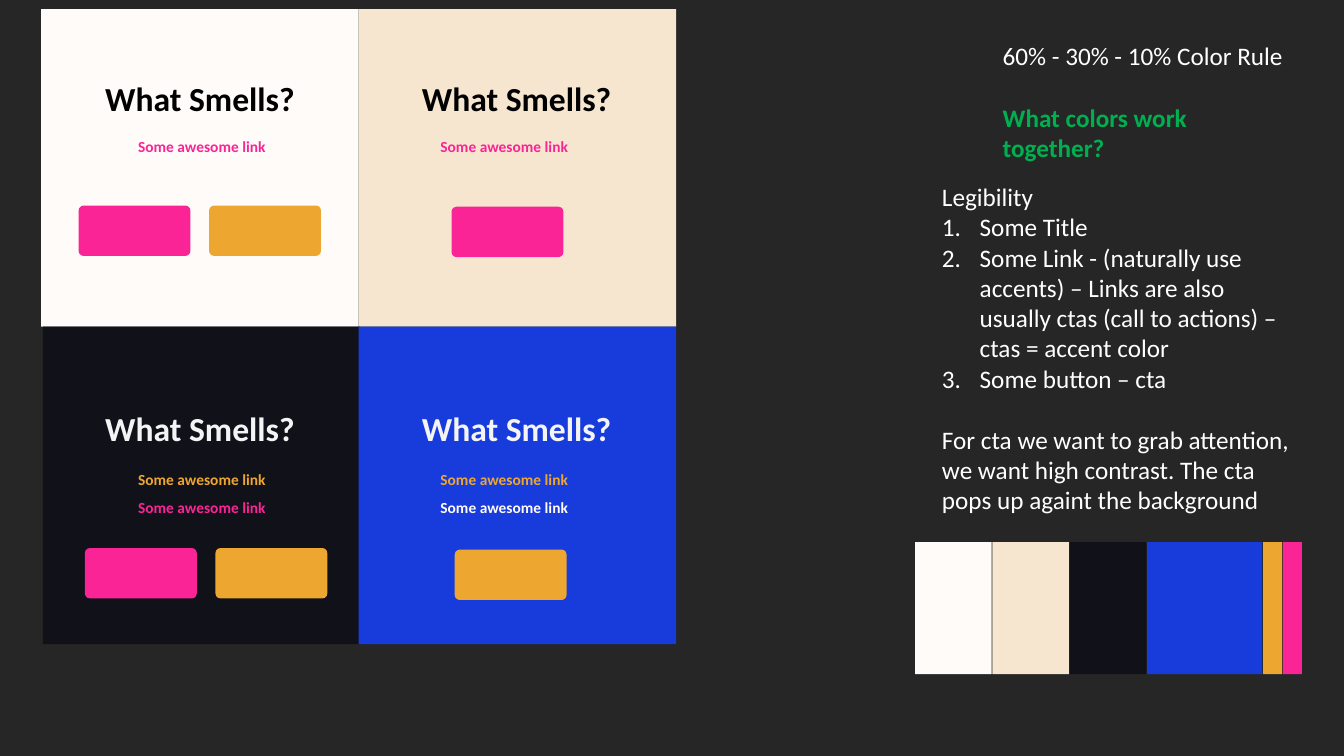
from dataclasses import dataclass

from lxml.etree import SubElement
from pptx import Presentation
from pptx.dml.color import RGBColor
from pptx.enum.shapes import MSO_SHAPE as Preset
from pptx.enum.text import MSO_AUTO_SIZE as AutoSize, PP_ALIGN as Align
from pptx.oxml.ns import qn
from pptx.util import Cm, Pt

FONT = "Calibri"
BACKGROUND = RGBColor(0x26, 0x26, 0x26)
WHITE = RGBColor(0xFF, 0xFF, 0xFF)
BLACK = RGBColor(0x00, 0x00, 0x00)
GREEN = RGBColor(0x00, 0xB0, 0x50)
SILVER = RGBColor(0xF4, 0xF4, 0xF4)
IVORY = RGBColor(0xFE, 0xFB, 0xF8)
SAND = RGBColor(0xF7, 0xE6, 0xCF)
INK = RGBColor(0x11, 0x11, 0x19)
BLUE = RGBColor(0x18, 0x3B, 0xDC)
AMBER = RGBColor(0xED, 0xA7, 0x30)
PINK = RGBColor(0xFA, 0x24, 0x96)


@dataclass(frozen=True)
class Box:
    left: float
    top: float
    width: float
    height: float

    def lengths(self) -> list[Cm]:
        return [Cm(self.left), Cm(self.top), Cm(self.width), Cm(self.height)]


@dataclass(frozen=True)
class Style:
    size: int
    color: RGBColor
    bold: bool = False
    align: Align = Align.LEFT


@dataclass(frozen=True)
class Line:
    text: str
    numbered: bool = False
    space_before: int = 0


@dataclass(frozen=True)
class Column:
    title_left: float
    link_left: float


@dataclass(frozen=True)
class Row:
    top: float
    title_top: float
    link_top: float
    title_color: RGBColor


@dataclass(frozen=True)
class Panel:
    column: Column
    row: Row
    left: float
    fill: RGBColor
    links: tuple[RGBColor, ...]
    button_left: float
    button_top: float
    buttons: tuple[RGBColor, ...]


@dataclass(frozen=True)
class Swatch:
    color: RGBColor
    width: float


PANEL_SIDE = 8.0
TEXT_WIDTH = 5.56
LINK_PITCH = 0.71
BUTTON_PITCH = 3.29
SWATCH_GAP = 0.02

LEFT_COLUMN = Column(2.26, 2.31)
RIGHT_COLUMN = Column(10.24, 9.93)
LIGHT_ROW = Row(0.23, 1.83, 3.33, BLACK)
DARK_ROW = Row(8.23, 10.16, 11.71, SILVER)

PANELS = [
    Panel(LEFT_COLUMN, LIGHT_ROW, 1.04, IVORY, (PINK,), 1.98, 5.18, (PINK, AMBER)),
    Panel(RIGHT_COLUMN, LIGHT_ROW, 9.04, SAND, (PINK,), 11.38, 5.21, (PINK,)),
    Panel(LEFT_COLUMN, DARK_ROW, 1.08, INK, (AMBER, PINK), 2.14, 13.81, (PINK, AMBER)),
    Panel(RIGHT_COLUMN, DARK_ROW, 9.04, BLUE, (AMBER, IVORY), 11.46, 13.85, (AMBER,)),
]

SWATCHES = [
    Swatch(IVORY, 1.93),
    Swatch(SAND, 1.93),
    Swatch(INK, 1.93),
    Swatch(BLUE, 2.9),
    Swatch(AMBER, 0.48),
    Swatch(PINK, 0.48),
]

LEGIBILITY = [
    Line("Legibility"),
    Line("Some Title", numbered=True),
    Line(
        "Some Link - (naturally use accents) – Links are also usually ctas "
        "(call to actions) – ctas = accent color",
        numbered=True,
    ),
    Line("Some button – cta", numbered=True),
    Line(
        "For cta we want to grab attention, we want high contrast. "
        "The cta pops up againt the background",
        space_before=22,
    ),
]


def add_block(slide, preset: Preset, box: Box, color: RGBColor):
    shape = slide.shapes.add_shape(preset, *box.lengths())
    shape.shadow.inherit = False
    shape.fill.solid()
    shape.fill.fore_color.rgb = color
    shape.line.fill.background()
    return shape


def number_paragraph(paragraph) -> None:
    properties = paragraph._p.get_or_add_pPr()
    properties.set("marL", str(Cm(0.95)))
    properties.set("indent", str(-Cm(0.95)))
    SubElement(properties, qn("a:buFont"), typeface="+mj-lt")
    SubElement(properties, qn("a:buAutoNum"), type="arabicPeriod")


def add_text(slide, box: Box, lines: list[Line], style: Style) -> None:
    frame = slide.shapes.add_textbox(*box.lengths()).text_frame
    frame.word_wrap = True
    frame.auto_size = AutoSize.SHAPE_TO_FIT_TEXT
    for index, line in enumerate(lines):
        paragraph = frame.add_paragraph() if index else frame.paragraphs[0]
        paragraph.alignment = style.align
        paragraph.space_before = Pt(line.space_before)
        if line.numbered:
            number_paragraph(paragraph)
        run = paragraph.add_run()
        run.text = line.text
        run.font.name = FONT
        run.font.size = Pt(style.size)
        run.font.bold = style.bold
        run.font.color.rgb = style.color


def add_panel(slide, panel: Panel) -> None:
    column, row = panel.column, panel.row
    area = Box(panel.left, row.top, PANEL_SIDE, PANEL_SIDE)
    add_block(slide, Preset.RECTANGLE, area, panel.fill)
    title_box = Box(column.title_left, row.title_top, TEXT_WIDTH, 1.27)
    title_style = Style(24, row.title_color, True, Align.CENTER)
    add_text(slide, title_box, [Line("What Smells?")], title_style)
    for index, color in enumerate(panel.links):
        top = row.link_top + index * LINK_PITCH
        link_box = Box(column.link_left, top, TEXT_WIDTH, 0.74)
        link_style = Style(11, color, True, Align.CENTER)
        add_text(slide, link_box, [Line("Some awesome link")], link_style)
    for index, color in enumerate(panel.buttons):
        left = panel.button_left + index * BUTTON_PITCH
        button_box = Box(left, panel.button_top, 2.82, 1.27)
        button = add_block(slide, Preset.ROUNDED_RECTANGLE, button_box, color)
        button.adjustments[0] = 0.1


def add_palette(slide, left: float) -> None:
    for swatch in SWATCHES:
        box = Box(left, 13.66, swatch.width, 3.33)
        add_block(slide, Preset.RECTANGLE, box, swatch.color)
        left += swatch.width + SWATCH_GAP


presentation = Presentation()
presentation.slide_width = Cm(33.87)
presentation.slide_height = Cm(19.05)
slide = presentation.slides.add_slide(presentation.slide_layouts[6])
slide.background.fill.solid()
slide.background.fill.fore_color.rgb = BACKGROUND

add_palette(slide, 23.06)
body = Style(18, WHITE)
add_text(slide, Box(25.02, 0.89, 7.77, 1.02), [Line("60% - 30% - 10% Color Rule")], body)
question = Style(18, GREEN, True)
add_text(slide, Box(25.02, 2.46, 7.77, 1.8), [Line("What colors work together?")], question)
add_text(slide, Box(23.49, 4.45, 9.3, 8.71), LEGIBILITY, body)
for panel in PANELS:
    add_panel(slide, panel)

presentation.save("out.pptx")
